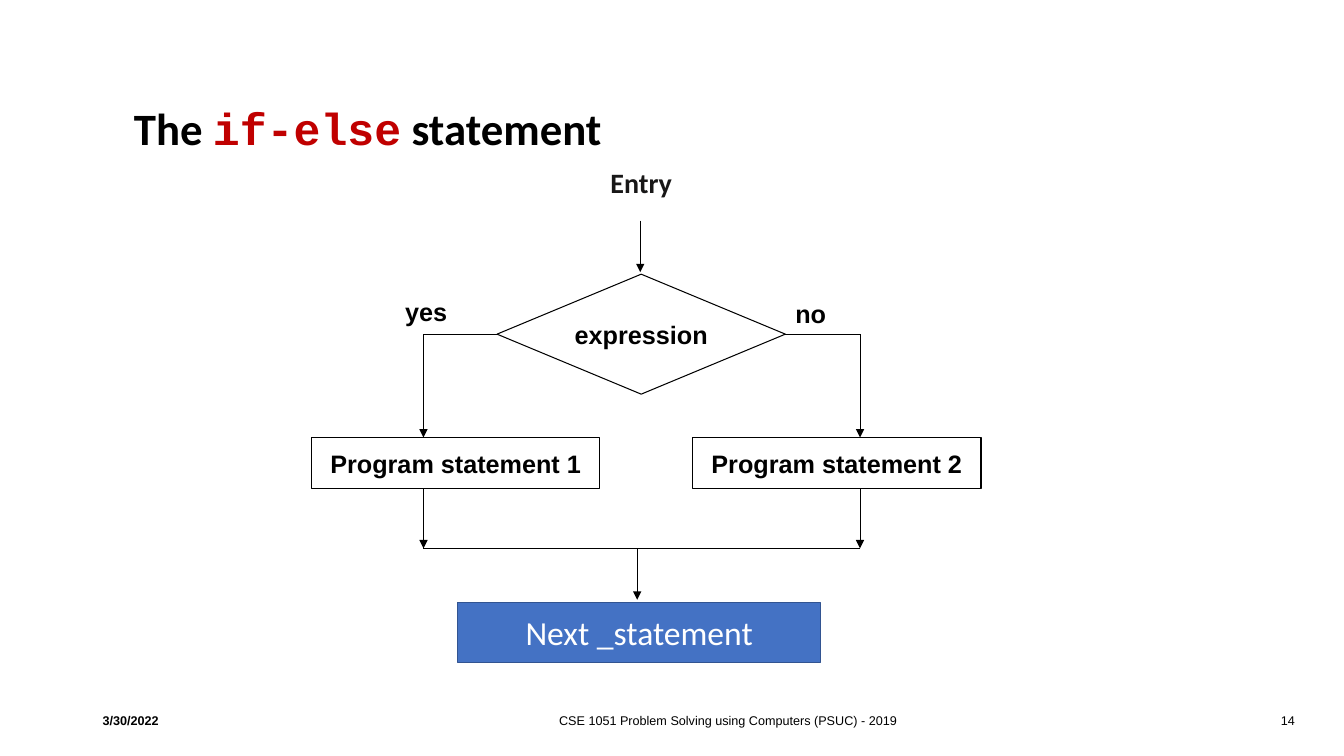
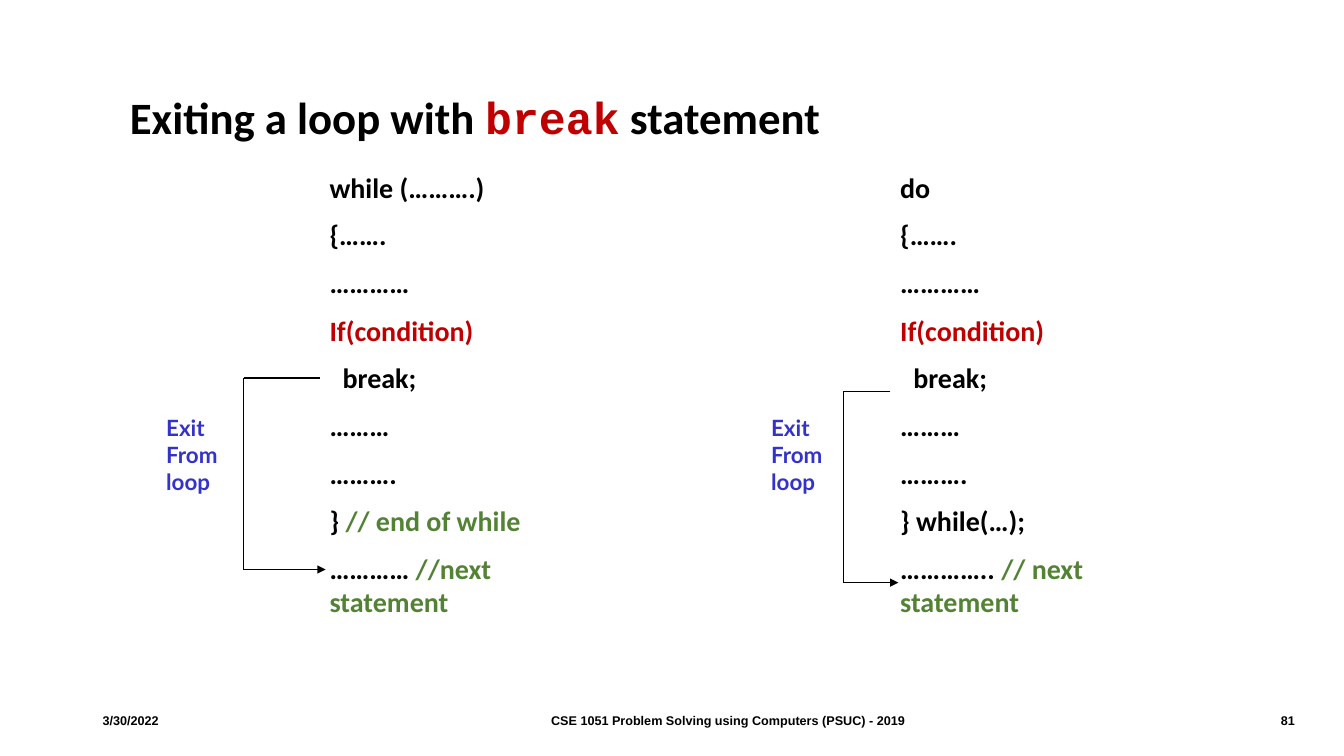
from dataclasses import dataclass

from pptx import Presentation
from pptx.dml.color import RGBColor
from pptx.enum.shapes import MSO_CONNECTOR, MSO_SHAPE
from pptx.enum.text import MSO_ANCHOR, MSO_AUTO_SIZE, PP_ALIGN
from pptx.oxml.ns import qn
from pptx.util import Inches, Pt
from lxml.etree import SubElement

COLORS = {
    "ink": "000000", "keyword": "C00000", "comment": "548235",
    "exit": "3333CC", "entry": "181717",
    "next_fill": "4472C4", "next_line": "325491", "light": "FFFFFF",
}
SLIDE_WIDTH, SLIDE_HEIGHT = 13.33, 7.5
COURSE = "CSE 1051 Problem Solving using Computers (PSUC) - 2019"
DATE = "3/30/2022"
FOOTER_TOP, FOOTER_HEIGHT = 6.95, 0.4
LEFT, CENTER, RIGHT = PP_ALIGN.LEFT, PP_ALIGN.CENTER, PP_ALIGN.RIGHT


@dataclass
class Box:
    """A region of the slide, in inches."""
    left: float
    top: float
    width: float
    height: float

    @property
    def right(self):
        return self.left + self.width

    @property
    def bottom(self):
        return self.top + self.height

    @property
    def middle(self):
        return self.top + self.height / 2

    def lengths(self):
        return [Inches(v) for v in (self.left, self.top, self.width, self.height)]


@dataclass
class Style:
    size: int
    font: str = "Calibri"
    color: str = "ink"
    bold: bool = True


TITLE = Style(32)
TITLE_CODE = Style(32, "Courier New", "keyword")
LABEL = Style(18, "Arial")
ENTRY = Style(20, color="entry")
NEXT = Style(24, color="light", bold=False)
CODE = Style(20)
CODE_KEYWORD = Style(20, color="keyword")
CODE_COMMENT = Style(20, color="comment")
EXIT = Style(16, "Lato", "exit")


def color(name):
    return RGBColor.from_string(COLORS[name])


# Text
def add_runs(paragraph, runs):
    for text, style in runs:
        run = paragraph.add_run()
        run.text = text
        run.font.size = Pt(style.size)
        run.font.name = style.font
        run.font.bold = style.bold
        run.font.color.rgb = color(style.color)


def fill_text(shape, lines, align=LEFT, anchor=MSO_ANCHOR.TOP, wrap=True, gap=0):
    """Write each line, a list of runs, as one paragraph."""
    frame = shape.text_frame
    frame.word_wrap = wrap
    frame.vertical_anchor = anchor
    for index, runs in enumerate(lines):
        paragraph = frame.add_paragraph() if index else frame.paragraphs[0]
        paragraph.alignment = align
        paragraph.space_before = Pt(gap if index else 0)
        add_runs(paragraph, runs)
    return frame


def add_text(slide, box, lines, **options):
    shape = slide.shapes.add_textbox(*box.lengths())
    return fill_text(shape, lines, **options)


# Shapes and lines
def add_node(slide, kind, box, text, style=LABEL, fill=None, line="ink",
             line_width=0.75):
    shape = slide.shapes.add_shape(kind, *box.lengths())
    shape.shadow.inherit = False
    if fill:
        shape.fill.solid()
        shape.fill.fore_color.rgb = color(fill)
    else:
        shape.fill.background()
    shape.line.color.rgb = color(line)
    shape.line.width = Pt(line_width)
    fill_text(shape, [[(text, style)]], CENTER, MSO_ANCHOR.MIDDLE, wrap=bool(fill))


def add_route(slide, *points, arrow=True):
    """Join the points by straight lines, with an arrowhead on the last."""
    for start, end in zip(points, points[1:]):
        ends = [Inches(value) for value in (*start, *end)]
        connector = slide.shapes.add_connector(MSO_CONNECTOR.STRAIGHT, *ends)
        connector.line.color.rgb = color("ink")
        connector.line.width = Pt(0.75)
        properties = connector._element.spPr
        if arrow and end == points[-1]:
            SubElement(properties.find(qn("a:ln")), qn("a:tailEnd"), type="triangle")
        SubElement(properties, qn("a:effectLst"))


# Title and footer shared by the slides
def add_title(slide, box, before, code, after):
    runs = [(before, TITLE), (code, TITLE_CODE), (after, TITLE)]
    frame = add_text(slide, box, [runs], anchor=MSO_ANCHOR.MIDDLE)
    frame.paragraphs[0].line_spacing = 0.9


def add_footer(slide, number, bold):
    parts = [
        (0.92, 1.26, DATE, LEFT, True),
        (2.42, 9.6, COURSE, CENTER, bold),
        (12.42, 0.52, str(number), RIGHT, bold),
    ]
    for left, width, text, align, is_bold in parts:
        style = Style(9, "Arial", bold=is_bold)
        add_text(slide, Box(left, FOOTER_TOP, width, FOOTER_HEIGHT),
                 [[(text, style)]], align=align, anchor=MSO_ANCHOR.MIDDLE)


# Flowchart of the two branches
def add_flowchart(slide, box):
    node_width = 2.86
    decision = Box(box.left + 1.84, box.top + 1.13, node_width, 1.19)
    yes_x, no_x = box.left + 1.11, box.right - 1.2
    entry_x, exit_x = box.left + 3.26, box.left + 3.23
    statement_top, statement_height = box.top + 2.75, 0.51
    statement_bottom = statement_top + statement_height
    join_y = box.top + 3.85
    next_box = Box(box.left + 1.45, box.bottom - 0.59, 3.6, 0.59)

    # Entry and decision
    add_text(slide, Box(box.left + 2.66, box.top, 1.22, 0.44),
             [[("Entry", ENTRY)]], align=CENTER)
    add_route(slide, (entry_x, box.top + 0.6), (entry_x, decision.top - 0.02))
    add_node(slide, MSO_SHAPE.FLOWCHART_DECISION, decision, "expression")

    # Branches
    branches = [
        ("yes", Box(box.left + 0.83, box.top + 1.3, 0.62, 0.4),
         decision.left, yes_x, box.left, "Program statement 1"),
        ("no", Box(decision.right, box.top + 1.32, 0.51, 0.4),
         decision.right, no_x, box.right - node_width, "Program statement 2"),
    ]
    for answer, answer_box, corner_x, branch_x, left, statement in branches:
        add_text(slide, answer_box, [[(answer, LABEL)]], wrap=False)
        add_route(slide, (corner_x, decision.middle), (branch_x, decision.middle),
                  (branch_x, statement_top))
        add_node(slide, MSO_SHAPE.FLOWCHART_PROCESS,
                 Box(left, statement_top, node_width, statement_height), statement)
        add_route(slide, (branch_x, statement_bottom), (branch_x, join_y))

    # Join and next statement
    add_route(slide, (yes_x, join_y), (no_x, join_y), arrow=False)
    add_route(slide, (exit_x, join_y), (exit_x, next_box.top - 0.03))
    add_node(slide, MSO_SHAPE.RECTANGLE, next_box, "Next _statement", NEXT,
             fill="next_fill", line="next_line", line_width=1)


# Loop code with the bracket that leaves it
def add_loop(slide, box, opening, closing, last, bracket, label_left):
    """bracket holds its left edge, its top and the tip of its arrow."""
    lines = [
        [(opening, CODE)],
        [("{…….", CODE)],
        [("…………", CODE)],
        [("If(condition)", CODE_KEYWORD)],
        [("break;", CODE)],
        [("………", CODE)],
        [("……….", CODE)],
        closing,
        last,
    ]
    frame = add_text(slide, box, lines, gap=10)
    frame.auto_size = MSO_AUTO_SIZE.SHAPE_TO_FIT_TEXT
    for paragraph in frame.paragraphs:
        if paragraph.text == "break;":
            paragraph._p.get_or_add_pPr().set("marL", str(Inches(0.13)))
    add_runs_after_break(frame.paragraphs[-1], [("statement", CODE_COMMENT)])

    left, top, tip = bracket
    bottom = top + 1.9
    add_route(slide, (box.left, top), (left, top), (left, bottom), (tip, bottom))
    add_text(slide, Box(label_left, box.top + 2.42, 0.72, 0.94),
             [[(word, EXIT)] for word in ("Exit", "From", "loop")], wrap=False)


def add_runs_after_break(paragraph, runs):
    paragraph.add_line_break()
    add_runs(paragraph, runs)


# Slides
def build_if_else(slide):
    add_title(slide, Box(1.23, 1.02, 10.79, 0.56), "The ", "if-else", " statement")
    add_flowchart(slide, Box(3.09, 1.59, 6.64, 4.98))
    add_footer(slide, 14, bold=False)


def build_break(slide):
    add_title(slide, Box(1.19, 0.91, 10.82, 0.56),
              "Exiting a loop with ", "break", " statement")
    add_loop(slide, Box(3.17, 1.64, 2.76, 4.81), "while (……….)",
             [("} ", CODE), ("// end of while", CODE_COMMENT)],
             [("………… ", CODE), ("//next", CODE_COMMENT)],
             bracket=(2.42, 3.75, 3.23), label_left=1.55)
    add_loop(slide, Box(8.83, 1.64, 2.44, 4.81), "do",
             [("} while(…);", CODE)],
             [("………….. ", CODE), ("// next", CODE_COMMENT)],
             bracket=(8.37, 3.88, 8.91), label_left=7.55)
    add_footer(slide, 81, bold=True)


def main():
    presentation = Presentation()
    presentation.slide_width = Inches(SLIDE_WIDTH)
    presentation.slide_height = Inches(SLIDE_HEIGHT)
    blank = presentation.slide_layouts[6]
    for build in (build_if_else, build_break):
        build(presentation.slides.add_slide(blank))
    presentation.save("out.pptx")


if __name__ == "__main__":
    main()
